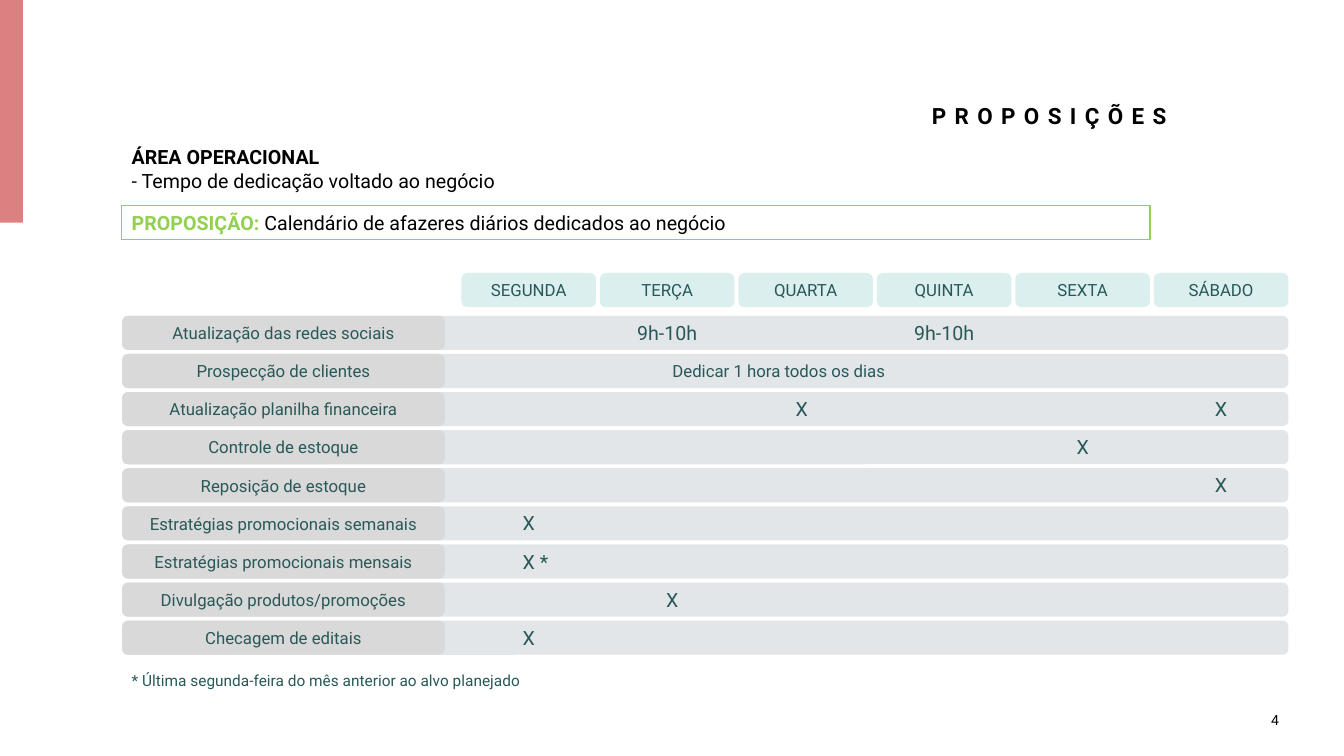
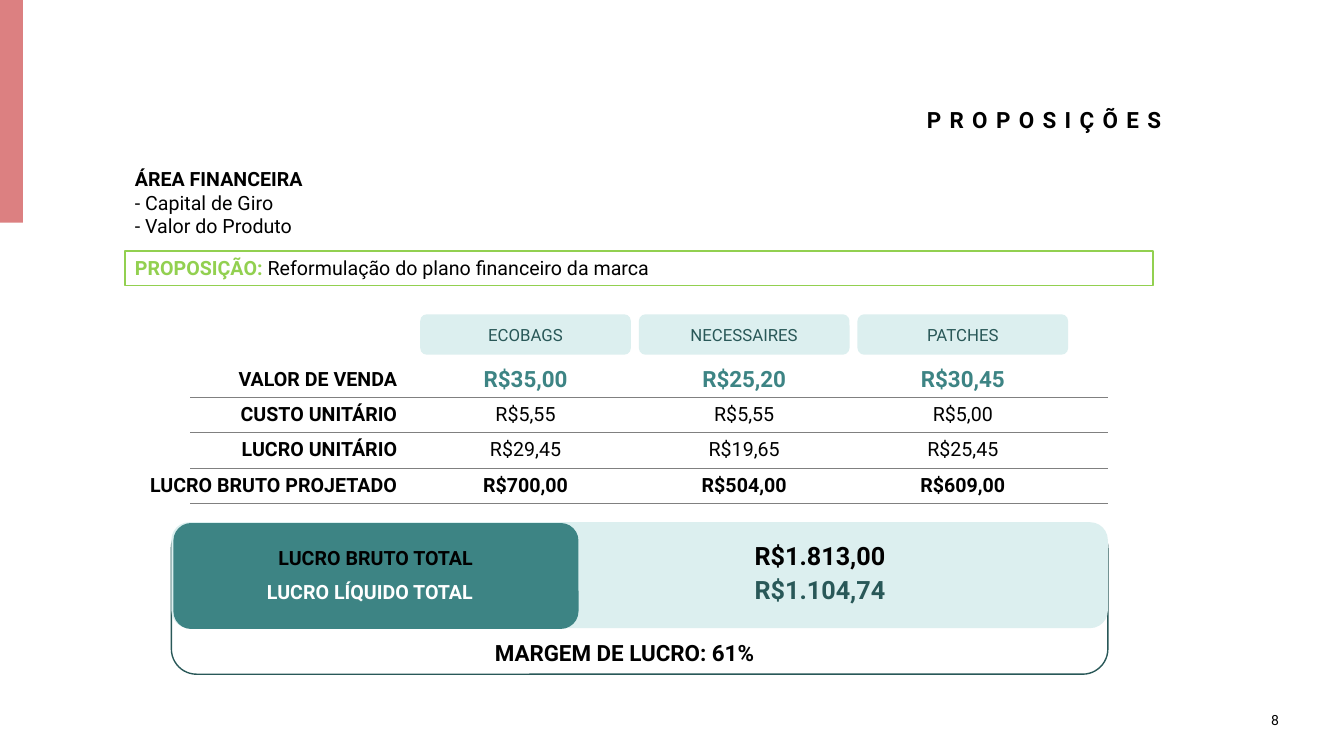
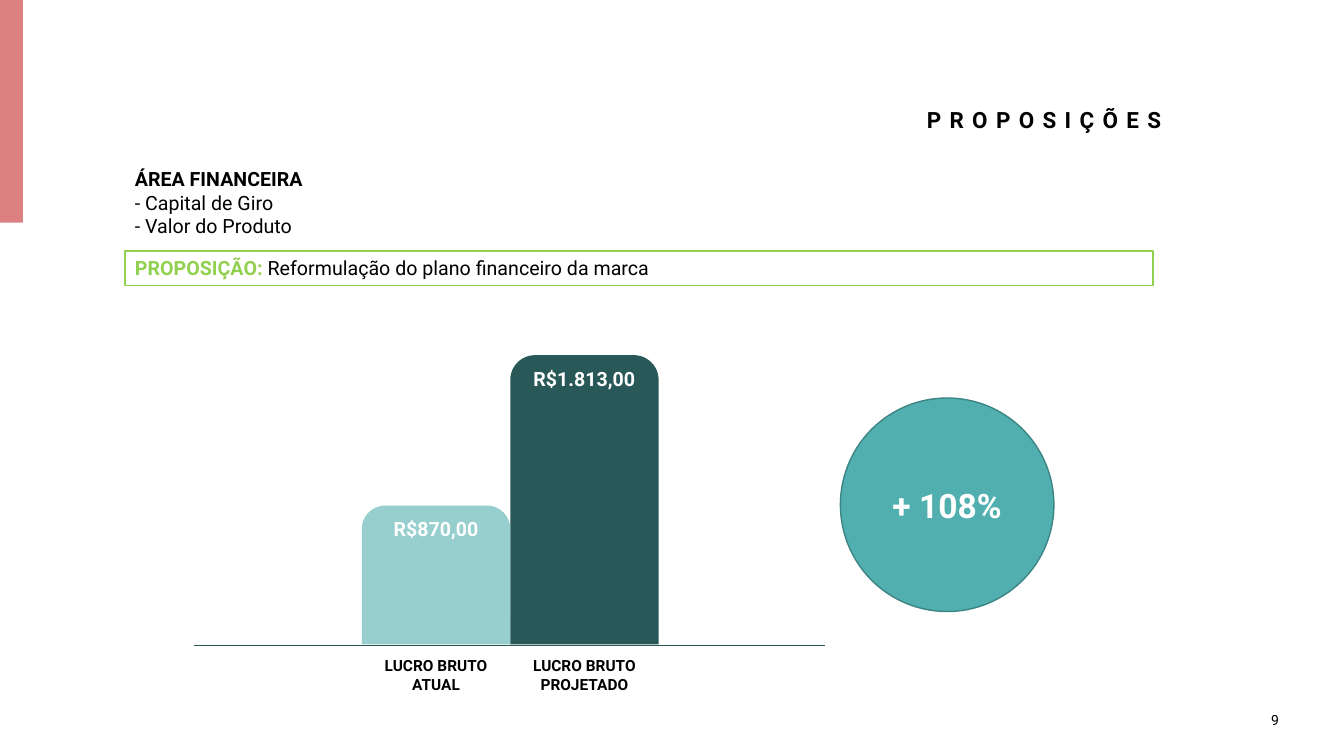
from lxml import etree
from pptx import Presentation
from pptx.dml.color import RGBColor
from pptx.enum import shapes, text
from pptx.oxml.ns import qn
from pptx.util import Cm, Pt

FONT = "Roboto"
BLACK, WHITE = RGBColor(0, 0, 0), RGBColor(0xFF, 0xFF, 0xFF)
ROSE = RGBColor(0xDC, 0x80, 0x81)
GREEN = RGBColor(0x92, 0xD0, 0x50)
DARK = RGBColor(0x29, 0x58, 0x58)
TEAL = RGBColor(0x3D, 0x84, 0x84)
AQUA = RGBColor(0x52, 0xAF, 0xAF)
LIGHT = RGBColor(0x97, 0xCF, 0xCF)
PALE = RGBColor(0xDC, 0xEF, 0xEF)
GREY = RGBColor(0xD9, 0xD9, 0xD9)
SILVER = RGBColor(0xE2, 0xE6, 0xE8)
RULE = RGBColor(0x80, 0x80, 0x80)

LEFT, CENTER, RIGHT = text.PP_ALIGN.LEFT, text.PP_ALIGN.CENTER, text.PP_ALIGN.RIGHT
TOP, MIDDLE = text.MSO_ANCHOR.TOP, text.MSO_ANCHOR.MIDDLE
RECT = shapes.MSO_SHAPE.RECTANGLE
ROUND = shapes.MSO_SHAPE.ROUNDED_RECTANGLE
ROUND_TOP = shapes.MSO_SHAPE.ROUND_2_SAME_RECTANGLE
OVAL = shapes.MSO_SHAPE.OVAL

# All positions and sizes are in centimetres.
TITLE = "PROPOSIÇÕES"
OPERATIONS = dict(title_at=(10.8, 2.24), left=3.07, top=3.53,
                  heading=["ÁREA OPERACIONAL", "- Tempo de dedicação voltado ao negócio"],
                  proposal="Calendário de afazeres diários dedicados ao negócio")
FINANCE = dict(title_at=(10.67, 2.34), left=3.15, top=4.09,
               heading=["ÁREA FINANCEIRA", "- Capital de Giro", "- Valor do Produto"],
               proposal="Reformulação do plano financeiro da marca")

DAYS = ["SEGUNDA", "TERÇA", "QUARTA", "QUINTA", "SEXTA", "SÁBADO"]
# task, text across the week, marks as (day index, text, shift from the column centre)
TASKS = [
    ("Atualização das redes sociais", "", [(1, "9h-10h", 0), (3, "9h-10h", 0)]),
    ("Prospecção de clientes", "Dedicar 1 hora todos os dias", []),
    ("Atualização planilha financeira", "", [(2, "X", -0.1), (5, "X", 0)]),
    ("Controle de estoque", "", [(4, "X", 0)]),
    ("Reposição de estoque", "", [(5, "X", 0)]),
    ("Estratégias promocionais semanais", "", [(0, "X", 0)]),
    ("Estratégias promocionais mensais", "", [(0, "X *", 0.17)]),
    ("Divulgação produtos/promoções", "", [(1, "X", 0.13)]),
    ("Checagem de editais", "", [(0, "X", 0)]),
]
FOOTNOTE = "* Última segunda-feira do mês anterior ao alvo planejado"

PRODUCTS = ["ECOBAGS", "NECESSAIRES", "PATCHES"]
# label, values, size, colour, bold
PRICES = [
    ("VALOR DE VENDA", ["R$35,00", "R$25,20", "R$30,45"], 16, TEAL, True),
    ("CUSTO UNITÁRIO", ["R$5,55", "R$5,55", "R$5,00"], 14, BLACK, False),
    ("LUCRO UNITÁRIO", ["R$29,45", "R$19,65", "R$25,45"], 14, BLACK, False),
    ("LUCRO BRUTO PROJETADO", ["R$700,00", "R$504,00", "R$609,00"], 14, BLACK, True),
]
TOTALS = [
    ("LUCRO BRUTO TOTAL", BLACK, "R$1.813,00", BLACK),
    ("LUCRO LÍQUIDO TOTAL", WHITE, "R$1.104,74", DARK),
]
MARGIN = "MARGEM DE LUCRO: 61%"

PROFITS = [
    ("LUCRO BRUTO ATUAL", 870, "R$870,00", LIGHT),
    ("LUCRO BRUTO PROJETADO", 1813, "R$1.813,00", DARK),
]
GROWTH = "+ 108%"


def style(p, size, color, bold=False, align=LEFT, spacing=0):
    p.alignment = align
    f = p.font
    f.name, f.size, f.bold = FONT, Pt(size), bold
    f.color.rgb = color
    if spacing:
        f._element.set("spc", str(spacing * 100))


def write(tf, lines, size, color, bold=False, align=LEFT, anchor=TOP, spacing=0):
    tf.word_wrap = True
    tf.vertical_anchor = anchor
    for i, line in enumerate(lines):
        p = tf.paragraphs[0] if i == 0 else tf.add_paragraph()
        p.text = line
        style(p, size, color, bold, align, spacing)


def label(s, box, line, size, color, **look):
    tf = s.shapes.add_textbox(*map(Cm, box)).text_frame
    write(tf, [line], size, color, **look)
    return tf


def block(s, kind, box, fill=None, line=None):
    sp = s.shapes.add_shape(kind, *map(Cm, box))
    sp.shadow.inherit = False
    if fill is None:
        sp.fill.background()
    else:
        sp.fill.solid()
        sp.fill.fore_color.rgb = fill
    if line is None:
        sp.line.fill.background()
    else:
        sp.line.color.rgb = line
        sp.line.width = Pt(1)
    return sp


def chip(s, box, fill, caption):
    sp = block(s, ROUND, box, fill)
    write(sp.text_frame, [caption], 12, DARK, align=CENTER, anchor=MIDDLE)
    return sp


def rule(s, x1, x2, y, color):
    cn = s.shapes.add_connector(shapes.MSO_CONNECTOR.STRAIGHT, Cm(x1), Cm(y), Cm(x2), Cm(y))
    cn.line.color.rgb = color
    cn.line.width = Pt(0.5)
    etree.SubElement(cn._element.spPr, qn("a:effectLst"))


def new_slide(prs, page, title_at, left, top, heading, proposal):
    """Add a slide with the side band, title, page number, heading and proposal box."""
    s = prs.slides.add_slide(prs.slide_layouts[6])
    block(s, RECT, (0, 0, 0.58, 5.61), ROSE)
    tf = label(s, (*title_at, 18.85, 2.59), TITLE, 16, BLACK, bold=True, align=RIGHT, spacing=6)
    tf.paragraphs[0].line_spacing = 1.3
    label(s, (31.01, 17.63, 1.47, 1.02), str(page), 10, BLACK,
          align=RIGHT, anchor=MIDDLE, spacing=1)

    height = 0.59 * len(heading) + 0.28
    tf = s.shapes.add_textbox(Cm(left), Cm(top), Cm(25.91), Cm(height)).text_frame
    write(tf, heading, 14, BLACK)
    tf.paragraphs[0].font.bold = True

    sp = block(s, RECT, (left, top + height + 0.19, 25.91, 0.86), line=GREEN)
    write(sp.text_frame, [""], 14, BLACK)
    p = sp.text_frame.paragraphs[0]
    r = p.add_run()
    r.text = "PROPOSIÇÃO: "
    r.font.bold = True
    r.font.color.rgb = GREEN
    p.add_run().text = proposal
    return s


def calendar_slide(prs):
    s = new_slide(prs, 4, **OPERATIONS)
    left, day_left, day_width, day_pitch = 3.08, 11.63, 3.39, 3.49
    top, pitch, height = 7.96, 0.96, 0.86
    for i, day in enumerate(DAYS):
        chip(s, (day_left + i * day_pitch, 6.88, day_width, height), PALE, day)
    for i, (task, note, marks) in enumerate(TASKS):
        y = top + i * pitch
        bar = chip(s, (left, y, 29.39, height), SILVER, note)
        bar.text_frame.margin_left = Cm(3.96)
        chip(s, (left, y, 8.13, height), GREY, task)
        for day, mark, shift in marks:
            x = day_left + day * day_pitch + shift
            label(s, (x, y, day_width, height), mark, 14, DARK, align=CENTER)
    label(s, (3.07, 16.79, 11, 0.74), FOOTNOTE, 11, DARK)


def price_table(s, left, top, label_width, column_width, row_height):
    tbl = s.shapes.add_table(len(PRICES), len(PRODUCTS) + 1, Cm(left), Cm(top),
                             Cm(label_width + column_width * len(PRODUCTS)),
                             Cm(row_height * len(PRICES))).table
    tbl.first_row = tbl.horz_banding = False
    for i, column in enumerate(tbl.columns):
        column.width = Cm(column_width if i else label_width)
    for row, (name, values, size, color, bold) in zip(tbl.rows, PRICES):
        for i, (cell, value) in enumerate(zip(row.cells, [name, *values])):
            cell.fill.background()
            cell.margin_top = cell.margin_bottom = cell.margin_left = 0
            cell.margin_right = Cm(0 if i else 0.48)
            cell.vertical_anchor = MIDDLE
            p = cell.text_frame.paragraphs[0]
            p.text = value
            if i:
                style(p, size, color, bold, CENTER)
            else:
                style(p, 14, BLACK, True, RIGHT)


def price_slide(prs):
    s = new_slide(prs, 8, **FINANCE)
    left, top, label_width, column, row = 2.64, 9.12, 7.85, 5.51, 0.89
    for i, product in enumerate(PRODUCTS):
        chip(s, (left + label_width + 0.1 + i * column, 7.92, column - 0.2, 1.02), PALE, product)
    price_table(s, left, top, label_width, column, row)
    for i in range(len(PRICES)):
        rule(s, 4.8, 27.91, top + (i + 1) * row, RULE)

    block(s, ROUND, (4.32, 13.18, 23.6, 3.81), line=DARK)
    block(s, ROUND, (4.32, 13.16, 23.6, 2.67), PALE)
    block(s, ROUND, (4.37, 13.18, 10.21, 2.67), TEAL)
    for i, (name, name_color, value, value_color) in enumerate(TOTALS):
        y = 13.49 + i * 0.86
        label(s, (4.55, y + 0.15, 7.62, 0.86), name, 14, name_color, bold=True, align=RIGHT)
        label(s, (18.01, y, 5.31, 1.02), value, 18, value_color, bold=True, align=CENTER)
    label(s, (12.22, 15.98, 7.8, 0.94), MARGIN, 16, BLACK, bold=True)


def growth_slide(prs):
    s = new_slide(prs, 9, **FINANCE)
    left, base, width, tallest = 9.12, 16.24, 3.74, 7.29
    rule(s, 4.88, 20.8, base + 0.02, DARK)
    largest = max(value for _, value, _, _ in PROFITS)
    for i, (name, value, amount, color) in enumerate(PROFITS):
        x, height = left + i * width, tallest * value / largest
        bar = block(s, ROUND_TOP, (x, base - height, width, height), color)
        write(bar.text_frame, [amount], 14, WHITE, bold=True, align=CENTER)
        label(s, (x, 16.41, width, 1.19), name, 11, BLACK, bold=True, align=CENTER)
    sp = block(s, OVAL, (21.18, 10.03, 5.38, 5.38), AQUA, TEAL)
    write(sp.text_frame, [GROWTH], 24, WHITE, bold=True, align=CENTER, anchor=MIDDLE)


def main():
    prs = Presentation()
    prs.slide_width, prs.slide_height = Cm(33.87), Cm(19.05)
    calendar_slide(prs)
    price_slide(prs)
    growth_slide(prs)
    prs.save("out.pptx")


if __name__ == "__main__":
    main()
